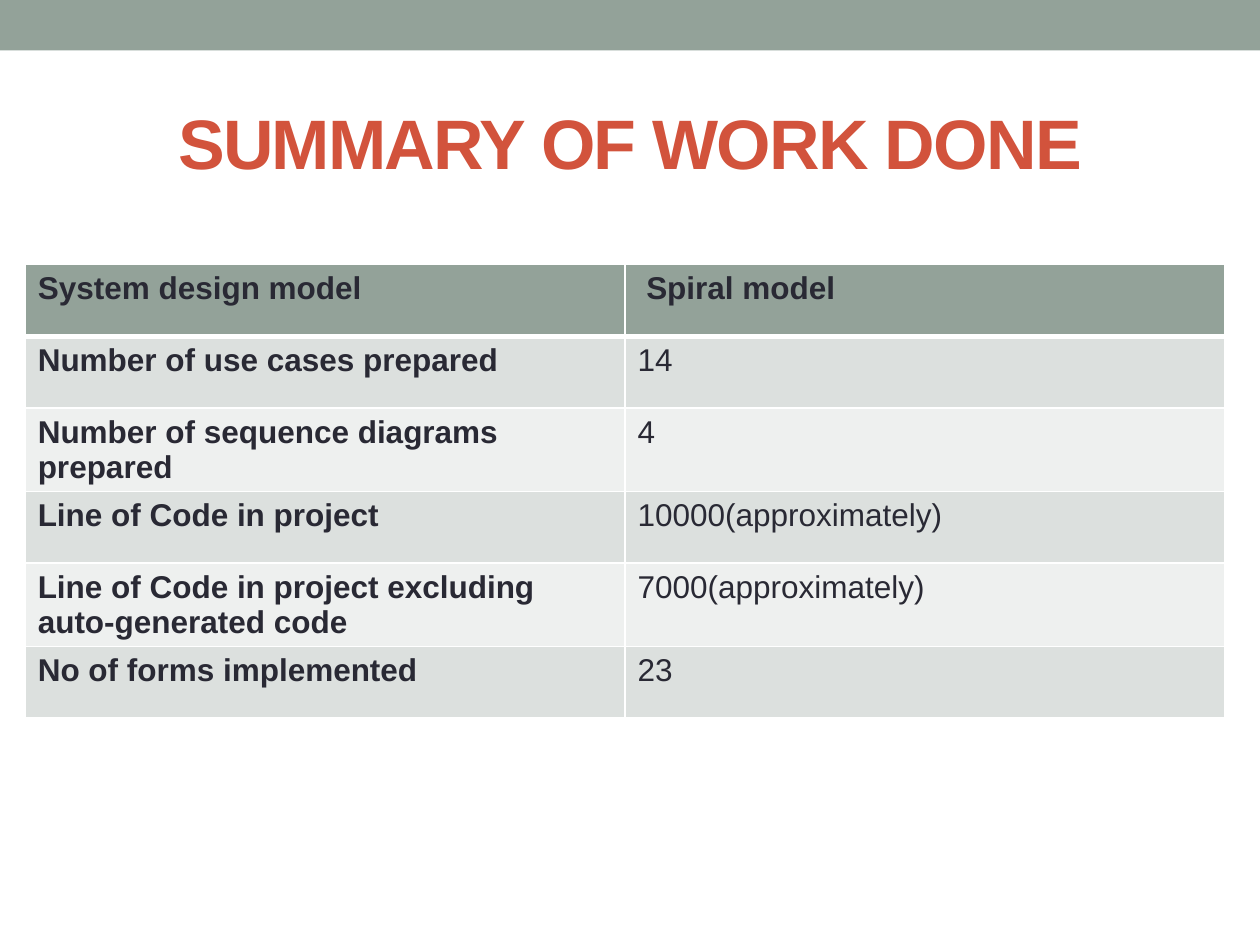
import dataclasses

import lxml.etree
import pptx
import pptx.dml.color
import pptx.enum.shapes
import pptx.enum.text
import pptx.oxml.ns
import pptx.util
from pptx.util import Inches


@dataclasses.dataclass(frozen=True)
class Theme:
    font: str = "Arial"
    sage: str = "93A299"
    rust: str = "D2533C"
    ink: str = "292934"
    white: str = "FFFFFF"
    bands: tuple = ("DCE0DE", "EEF0EF")
    title_size: int = 40
    body_size: int = 18
    thin: int = 1
    thick: int = 3


theme = Theme()
rgb = pptx.dml.color.RGBColor.from_string
qn = pptx.oxml.ns.qn


def write(frame, text, size=theme.body_size, color=theme.ink, bold=False,
          align=pptx.enum.text.PP_ALIGN.LEFT, spacing=None):
    paragraph = frame.paragraphs[0]
    paragraph.alignment = align
    run = paragraph.add_run()
    run.text = text
    run.font.name = theme.font
    run.font.size = pptx.util.Pt(size)
    run.font.bold = bold
    run.font.color.rgb = rgb(color)
    if spacing is not None:
        run._r.get_or_add_rPr().set("spc", str(spacing * 100))


def set_borders(cell, **widths):
    properties = cell._tc.get_or_add_tcPr()
    for position, side in enumerate("LRTB"):
        line = lxml.etree.Element(qn(f"a:ln{side}"),
                                  w=str(pptx.util.Pt(widths.get(side, theme.thin))))
        fill = lxml.etree.SubElement(line, qn("a:solidFill"))
        lxml.etree.SubElement(fill, qn("a:srgbClr"), val=theme.white)
        properties.insert(position, line)


presentation = pptx.Presentation()
presentation.slide_width = Inches(10)
presentation.slide_height = Inches(7.5)
slide = presentation.slides.add_slide(presentation.slide_layouts.get_by_name("Title Only"))

top_band = slide.shapes.add_shape(
    pptx.enum.shapes.MSO_SHAPE.RECTANGLE, 0, 0, presentation.slide_width, Inches(0.4))
top_band.shadow.inherit = False
top_band.fill.solid()
top_band.fill.fore_color.rgb = rgb(theme.sage)
top_band.line.fill.background()

heading = slide.shapes.title
heading.left, heading.top = Inches(0.5), Inches(0.58)
heading.width, heading.height = Inches(9), Inches(1.08)
heading.text_frame.vertical_anchor = pptx.enum.text.MSO_ANCHOR.MIDDLE
write(heading.text_frame, "SUMMARY OF WORK DONE", size=theme.title_size, color=theme.rust,
      bold=True, align=pptx.enum.text.PP_ALIGN.CENTER, spacing=-1)

work_items = [
    ("System design model", " Spiral model"),
    ("Number of use cases prepared", "14"),
    ("Number of sequence diagrams prepared", "4"),
    ("Line of Code in project", "10000(approximately)"),
    ("Line of Code in project excluding auto-generated code", "7000(approximately)"),
    ("No of forms implemented", "23"),
]
row_height = Inches(0.57)
summary = slide.shapes.add_table(
    len(work_items), 2, Inches(0.2), Inches(2.1), Inches(9.52), row_height * len(work_items)).table
summary.horz_banding = False

for row, item in enumerate(work_items):
    summary.rows[row].height = row_height
    is_header = row == 0
    for column, text in enumerate(item):
        cell = summary.cell(row, column)
        cell.fill.solid()
        cell.fill.fore_color.rgb = rgb(theme.sage if is_header else theme.bands[(row - 1) % 2])
        set_borders(cell, T=theme.thick if row == 1 else theme.thin,
                    B=theme.thick if is_header else theme.thin)
        write(cell.text_frame, text, bold=is_header or column == 0)

presentation.save("out.pptx")
